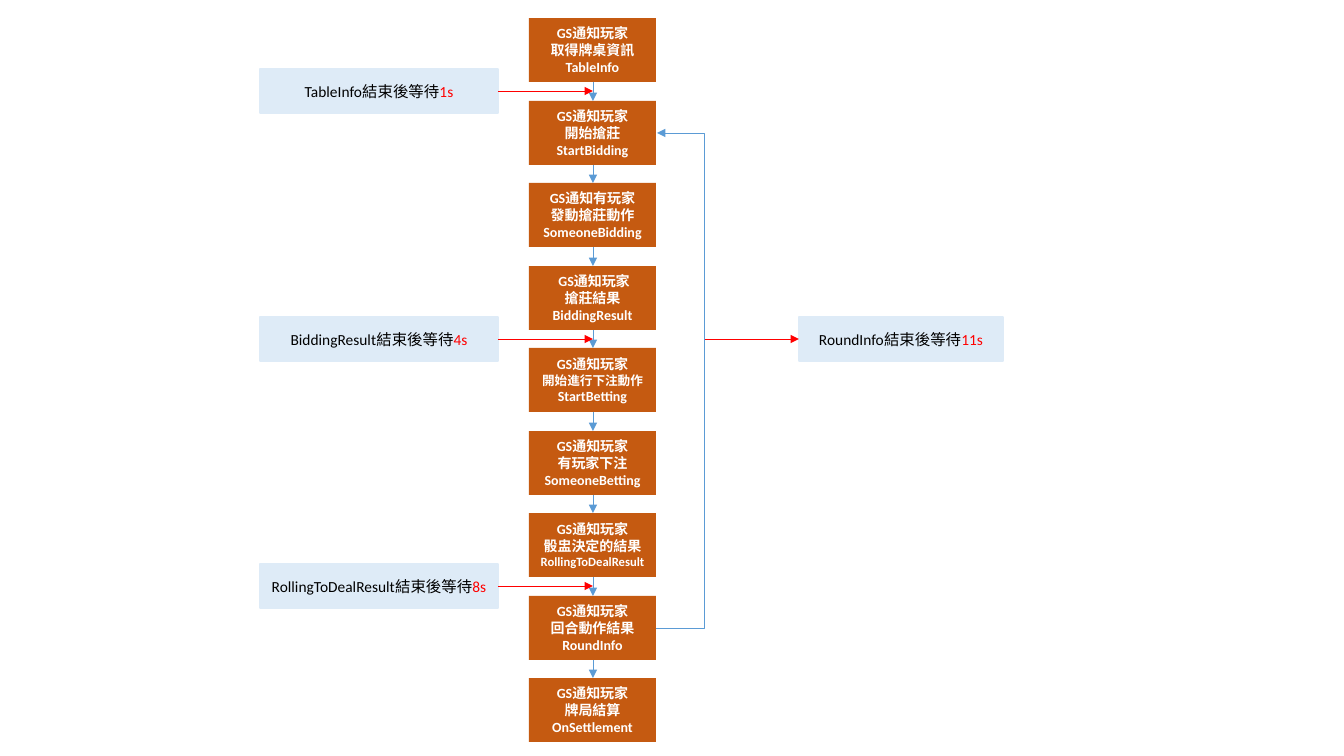
from math import ceil

from lxml.etree import SubElement
from pptx import Presentation
from pptx.dml.color import RGBColor
from pptx.enum.shapes import MSO_CONNECTOR as CONN, MSO_SHAPE as SHAPE
from pptx.enum.text import MSO_ANCHOR as ANCHOR, PP_ALIGN as ALIGN
from pptx.oxml.ns import qn
from pptx.util import Emu, Pt

# Content: each step is a list of paragraphs, small ones are named in SMALL
STEPS = [
    ["GS通知玩家", "取得牌桌資訊", "TableInfo"],
    ["GS通知玩家", "開始搶莊", "StartBidding"],
    ["GS通知有玩家", "發動搶莊動作", "SomeoneBidding"],
    [" GS通知玩家", "搶莊結果", "BiddingResult"],
    ["GS通知玩家", "開始進行下注動作", "StartBetting"],
    ["GS通知玩家", "有玩家下注", "SomeoneBetting"],
    ["GS通知玩家", "骰盅決定的結果", "RollingToDealResult"],
    ["GS通知玩家", "回合動作結果RoundInfo"],
    ["GS通知玩家", "牌局結算OnSettlement"],
]
SMALL = {"開始進行下注動作", "RollingToDealResult"}
WAITS = [  # step before the wait, label, time
    (0, "TableInfo結束後等待", "1s"),
    (3, "BiddingResult結束後等待", "4s"),
    (6, "RollingToDealResult結束後等待", "8s"),
]
LOOP_WAIT = ("RoundInfo結束後等待", "11s")
LOOP_FROM, LOOP_TO = 7, 1

THEME = {
    "font": "Calibri",
    "step": "C55A11", "note": "DEEBF7", "flow": "5B9BD5", "wait": "FF0000",
    "light": "FFFFFF", "dark": "000000",
    "step_pt": 10, "small_pt": 9, "note_pt": 11, "line_pt": 0.5, "edge_pt": 1,
}

# Layout in px
SLIDE_W, SLIDE_H = 1344, 756
STEP_X, STEP_Y, STEP_W, STEP_H = 529, 18, 127, 64
LAST_Y = 678
NOTE_X, NOTE_W, NOTE_H = 260, 238, 44
LOOP_X, LOOP_NOTE_X, LOOP_NOTE_W = 705, 799, 204
MID_X = STEP_X + STEP_W // 2 + 1


def px(n):
    return Emu(round(n * 914400 / 100.8))


def color(name):
    return RGBColor.from_string(THEME[name])


def step_y(i):
    return STEP_Y + ceil(i * (LAST_Y - STEP_Y) / (len(STEPS) - 1))


def gap_y(i):
    return (step_y(i) + STEP_H + step_y(i + 1)) // 2


def add_box(s, x, y, w, h, fill, paragraphs, edge=None):
    """Each paragraph is a list of (text, size, colour, bold) runs."""
    sp = s.shapes.add_shape(SHAPE.RECTANGLE, px(x), px(y), px(w), px(h))
    sp.shadow.inherit = False
    sp.fill.solid()
    sp.fill.fore_color.rgb = color(fill)
    if edge:
        sp.line.color.rgb = color(edge)
        sp.line.width = Pt(THEME["edge_pt"])
    else:
        sp.line.fill.background()
    tf = sp.text_frame
    for name, value in {"word_wrap": True, "vertical_anchor": ANCHOR.MIDDLE}.items():
        setattr(tf, name, value)
    for n, runs in enumerate(paragraphs):
        p = tf.add_paragraph() if n else tf.paragraphs[0]
        p.alignment = ALIGN.CENTER
        for text, size, ink, bold in runs:
            r = p.add_run()
            r.text = text
            style = {"name": THEME["font"], "size": Pt(THEME[size]), "bold": bold}
            for name, value in style.items():
                setattr(r.font, name, value)
            r.font.color.rgb = color(ink)


def add_note(s, x, mid_y, w, label, time):
    runs = [(label, "note_pt", "dark", False), (time, "note_pt", "wait", False)]
    add_box(s, x, mid_y - NOTE_H // 2, w, NOTE_H, "note", [runs], edge="note")


def add_arrow(s, x1, y1, x2, y2, ink, kind=CONN.STRAIGHT):
    cx = s.shapes.add_connector(kind, px(x1), px(y1), px(x2), px(y2))
    cx.line.color.rgb = color(ink)
    cx.line.width = Pt(THEME["line_pt"])
    SubElement(cx.line._get_or_add_ln(), qn("a:tailEnd"), type="triangle")
    SubElement(cx._element.spPr, qn("a:effectLst"))
    return cx


def main():
    prs = Presentation()
    prs.slide_width, prs.slide_height = px(SLIDE_W), px(SLIDE_H)
    s = prs.slides.add_slide(prs.slide_layouts[6])

    # Steps, top to bottom
    for i, lines in enumerate(STEPS):
        paragraphs = [
            [(t, "small_pt" if t in SMALL else "step_pt", "light", True)] for t in lines
        ]
        add_box(s, STEP_X, step_y(i), STEP_W, STEP_H, "step", paragraphs)

    # Arrows between steps
    for i in range(len(STEPS) - 1):
        add_arrow(s, MID_X, step_y(i) + STEP_H, MID_X, step_y(i + 1), "flow")

    # Loop back to bidding; the bend is a multiple of the 1 px width
    right = STEP_X + STEP_W
    y1, y2 = (step_y(i) + STEP_H // 2 for i in (LOOP_FROM, LOOP_TO))
    loop = add_arrow(s, right, y1, right + 1, y2, "flow", CONN.ELBOW)
    bend = (LOOP_X - right) * 100000
    guides = loop._element.spPr.find(qn("a:prstGeom")).get_or_add_avLst()
    SubElement(guides, qn("a:gd"), name="adj1", fmla=f"val {bend}")

    # Waiting times
    for i, label, time in WAITS:
        add_note(s, NOTE_X, gap_y(i), NOTE_W, label, time)
        add_arrow(s, NOTE_X + NOTE_W, gap_y(i), MID_X, gap_y(i), "wait")
    mid_y = gap_y(3)
    add_note(s, LOOP_NOTE_X, mid_y, LOOP_NOTE_W, *LOOP_WAIT)
    add_arrow(s, LOOP_X, mid_y, LOOP_NOTE_X, mid_y, "wait")

    prs.save("out.pptx")


if __name__ == "__main__":
    main()
